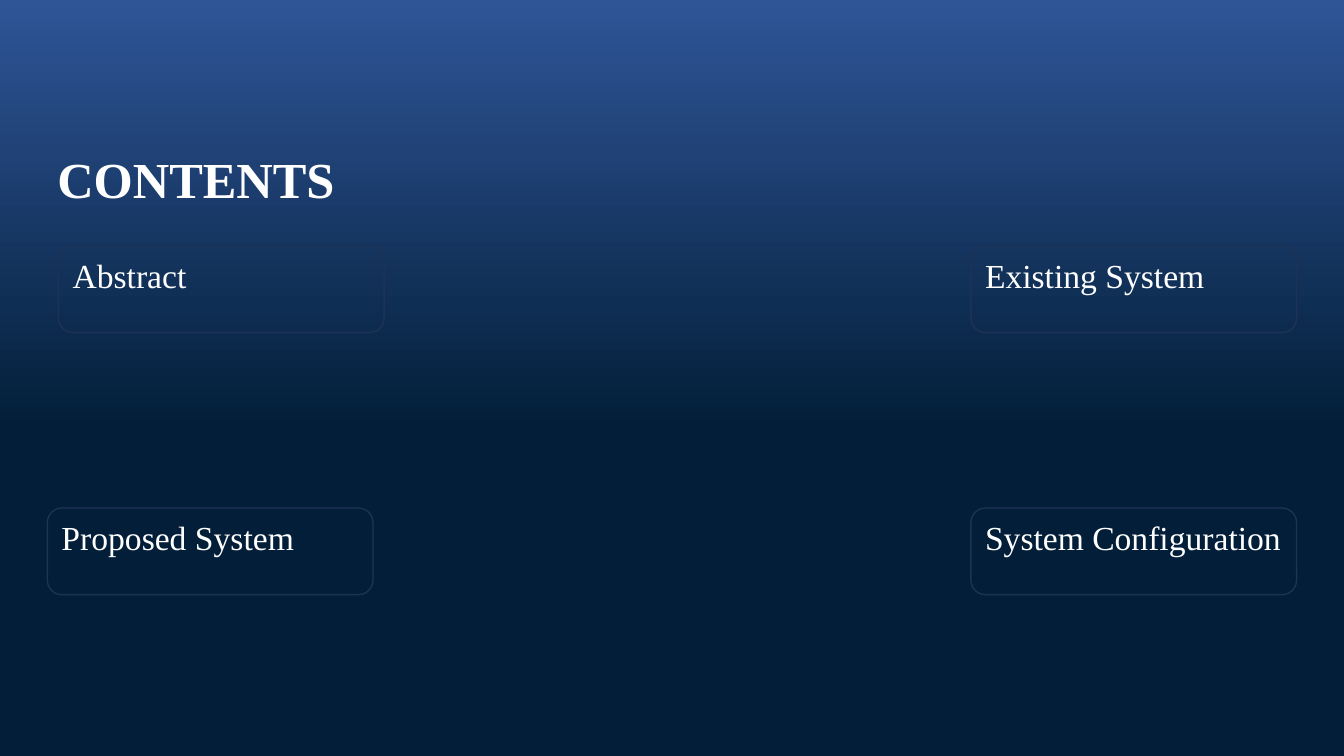
import dataclasses

import pptx
import pptx.dml.color
import pptx.enum.shapes
import pptx.enum.text
import pptx.util


@dataclasses.dataclass(frozen=True)
class Theme:
    """Colours, font and type sizes of the slide."""
    sky: str = "2F5597"
    deep: str = "021E38"
    edge: str = "1E3256"
    ink: str = "FFFFFF"
    face: str = "Times New Roman"
    head: int = 36
    body: int = 24


THEME = Theme()
WIDE, HIGH = pptx.util.Inches(13.33), pptx.util.Inches(7.5)
LEFT, INNER, RIGHT = 0.47 / 13.33, 0.58 / 13.33, 9.63 / 13.33
UPPER, LOWER = 2.44 / 7.5, 5.04 / 7.5
CARD = (3.23 / 13.33, 0.86 / 7.5)
TOPICS = (
    ("Abstract", INNER, UPPER),
    ("Existing System", RIGHT, UPPER),
    ("Proposed System", LEFT, LOWER),
    ("System Configuration", RIGHT, LOWER),
)


def tint(code):
    """Return the colour for a hex code."""
    return pptx.dml.color.RGBColor.from_string(code)


def place(x, y, w, h):
    """Turn shares of the slide into a left, top, width and height."""
    return int(x * WIDE), int(y * HIGH), int(w * WIDE), int(h * HIGH)


def write(shape, text, size=THEME.body, bold=False, color=THEME.ink):
    """Put one formatted line of text at the top of a shape."""
    frame = shape.text_frame
    frame.word_wrap = True
    frame.vertical_anchor = pptx.enum.text.MSO_ANCHOR.TOP
    line = frame.paragraphs[0]
    line.alignment = pptx.enum.text.PP_ALIGN.JUSTIFY
    run = line.add_run()
    run.text = text
    run.font.name = THEME.face
    run.font.size = pptx.util.Pt(size)
    run.font.bold = bold
    run.font.color.rgb = tint(color)


def shade(slide):
    """Fill the background with a fade from top to bottom."""
    fill = slide.background.fill
    fill.gradient()
    fill.gradient_angle = 270
    for stop, code, spot in zip(
        fill.gradient_stops, (THEME.sky, THEME.deep), (0, 0.57)
    ):
        stop.color.rgb = tint(code)
        stop.position = spot


def title(slide, text):
    """Add the slide heading."""
    box = slide.shapes.add_textbox(*place(LEFT, 1.42 / 7.5, 6.52 / 13.33, 0.71 / 7.5))
    write(box, text, size=THEME.head, bold=True)


def card(slide, text, x, y):
    """Add an outlined topic card."""
    kind = pptx.enum.shapes.MSO_SHAPE.ROUNDED_RECTANGLE
    box = slide.shapes.add_shape(kind, *place(x, y, *CARD))
    box.shadow.inherit = False
    box.fill.background()
    box.line.color.rgb = tint(THEME.edge)
    box.line.width = pptx.util.Pt(1)
    write(box, text)


def main():
    """Build and save the contents slide."""
    deck = pptx.Presentation()
    deck.slide_width, deck.slide_height = WIDE, HIGH
    slide = deck.slides.add_slide(deck.slide_layouts[6])
    shade(slide)
    title(slide, "CONTENTS")
    for topic in TOPICS:
        card(slide, *topic)
    deck.save("out.pptx")


if __name__ == "__main__":
    main()
